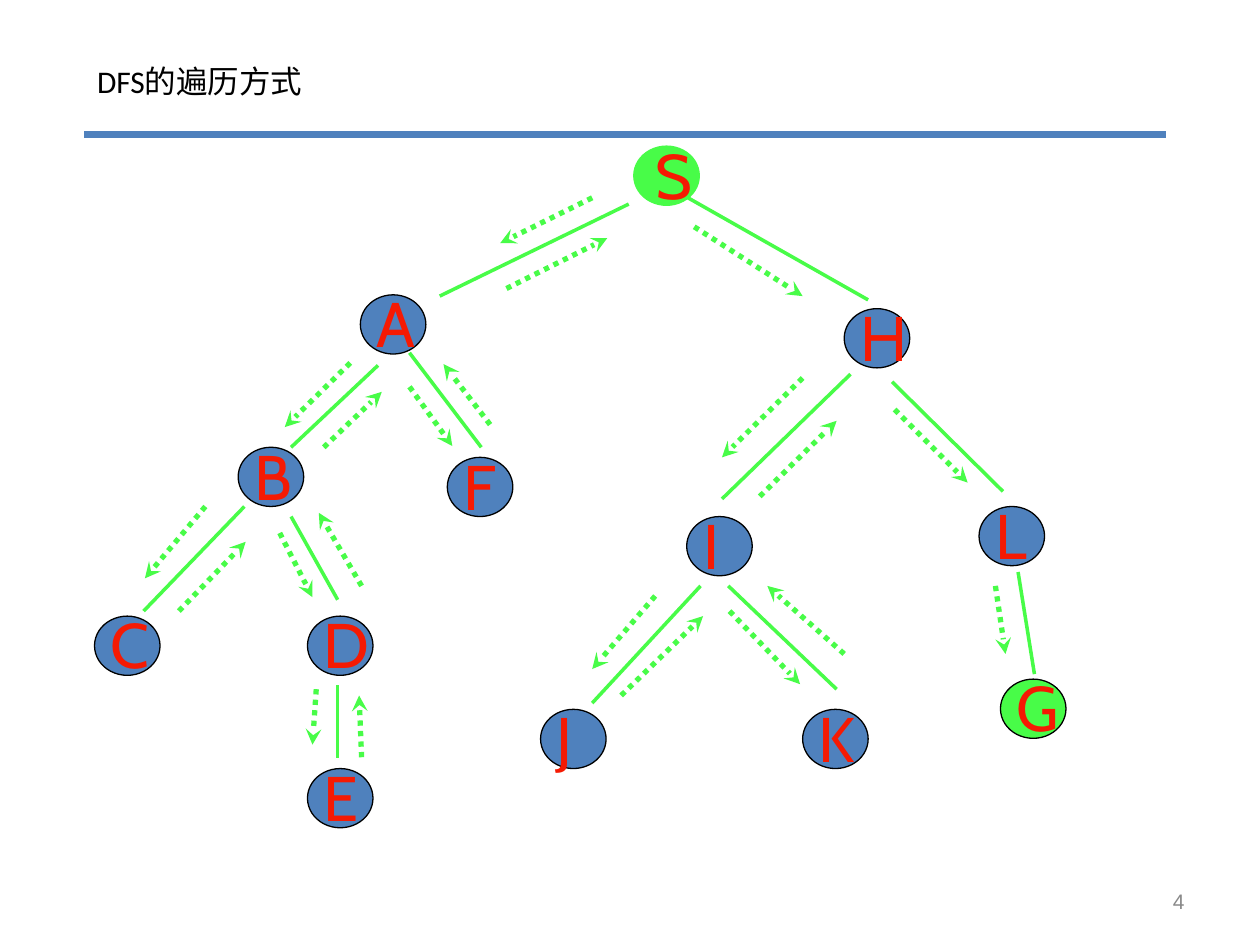
"""Build a slide that shows the depth-first traversal of a tree."""
from typing import NamedTuple, Optional

from lxml import etree
from pptx import Presentation
from pptx.dml.color import RGBColor
from pptx.enum.dml import MSO_LINE_DASH_STYLE as Dash
from pptx.enum.shapes import MSO_CONNECTOR as Connector, MSO_SHAPE as Shape
from pptx.enum.text import MSO_ANCHOR as Anchor, MSO_AUTO_SIZE as AutoSize, PP_ALIGN as Align
from pptx.oxml.ns import qn
from pptx.util import Inches, Pt

BLUE, GREEN, RED, BLACK, GRAY = "4F81BD", "48FC48", "F51A03", "000000", "898989"
NODE_WIDTH, NODE_HEIGHT = 0.52, 0.47
Segment = tuple[float, float, float, float]


class Node(NamedTuple):
    letter: str
    left: float
    top: float
    fill: str = BLUE
    outline: str = BLACK
    indent: float = 0.13


class Branch(NamedTuple):
    edge: Segment
    descent: Segment
    retreat: Optional[Segment] = None


NODES = [
    Node("H", 6.7, 2.45),
    Node("A", 2.86, 2.34),
    Node("L", 7.77, 4.02),
    Node("I", 5.45, 4.1),
    Node("F", 3.55, 3.63),
    Node("B", 1.89, 3.55),
    Node("C", 0.75, 4.89),
    Node("D", 2.44, 4.89),
    Node("E", 2.44, 6.1),
    Node("J", 4.29, 5.63),
    Node("G", 7.94, 5.39, GREEN),
    Node("K", 6.37, 5.63),
    Node("S", 5.03, 1.16, GREEN, GREEN, 0.17),
]

BRANCHES = [
    Branch((4.99, 1.62, 3.49, 2.35), (4.7, 1.57, 3.97, 1.93), (4.02, 2.29, 4.82, 1.89)),
    Branch((3, 2.9, 2.31, 3.55), (2.78, 2.88, 2.26, 3.39), (2.57, 3.55, 3.03, 3.11)),
    Branch((1.94, 4.02, 1.14, 4.85), (1.63, 4.02, 1.15, 4.59), (1.42, 4.85, 1.95, 4.3)),
    Branch((2.31, 4.1, 2.68, 4.76), (2.22, 4.23, 2.48, 4.74), (2.87, 4.65, 2.53, 4.07)),
    Branch((2.68, 5.44, 2.68, 6.02), (2.51, 5.47, 2.48, 5.91), (2.87, 6.01, 2.85, 5.52)),
    Branch((3.25, 2.8, 3.82, 3.55), (3.25, 3.07, 3.59, 3.54), (3.89, 3.37, 3.52, 2.89)),
    Branch((5.46, 1.57, 6.89, 2.38), (5.51, 1.8, 6.37, 2.35)),
    Branch((6.75, 2.97, 5.73, 3.96), (6.37, 3, 5.73, 3.63), (6.03, 3.94, 6.64, 3.34)),
    Branch((5.56, 4.65, 4.7, 5.58), (5.2, 4.73, 4.7, 5.31), (4.93, 5.52, 5.58, 4.89)),
    Branch((5.78, 4.65, 6.64, 5.47), (5.79, 4.85, 6.35, 5.43), (6.7, 5.19, 6.09, 4.65)),
    Branch((7.08, 3.03, 7.96, 3.9), (7.1, 3.25, 7.68, 3.83)),
    Branch((8.08, 4.54, 8.21, 5.35), (7.9, 4.65, 7.98, 5.19)),
]


def rgb(color: str) -> RGBColor:
    return RGBColor.from_string(color)


def write(holder, text: str, size: float, font: str, color: str, align=Align.LEFT) -> None:
    frame = holder.text_frame
    frame.text = text
    frame.word_wrap = True
    paragraph = frame.paragraphs[0]
    paragraph.alignment = align
    run_font = paragraph.runs[0].font
    run_font.size, run_font.name = Pt(size), font
    run_font.color.rgb = rgb(color)


def draw_line(slide, segment: Segment, color: str, width: float):
    connector = slide.shapes.add_connector(Connector.STRAIGHT, *map(Inches, segment))
    connector.line.color.rgb = rgb(color)
    connector.line.width = Pt(width)
    etree.SubElement(connector._element.spPr, qn("a:effectLst"))
    return connector


def draw_step(slide, segment: Segment) -> None:
    step = draw_line(slide, segment, GREEN, 3)
    step.line.dash_style = Dash.ROUND_DOT
    etree.SubElement(step.line._get_or_add_ln(), qn("a:tailEnd"), type="stealth")


def draw_branch(slide, branch: Branch) -> None:
    draw_line(slide, branch.edge, GREEN, 2)
    draw_step(slide, branch.descent)
    if branch.retreat:
        draw_step(slide, branch.retreat)


def draw_node(slide, node: Node) -> None:
    circle = slide.shapes.add_shape(
        Shape.OVAL, Inches(node.left), Inches(node.top), Inches(NODE_WIDTH), Inches(NODE_HEIGHT))
    circle.shadow.inherit = False
    circle.fill.solid()
    circle.fill.fore_color.rgb = rgb(node.fill)
    circle.line.color.rgb = rgb(node.outline)
    circle.line.width = Pt(0.75)
    letter = slide.shapes.add_textbox(
        Inches(node.left + node.indent), Inches(node.top - 0.08), Inches(0.2), Inches(0.6))
    frame = letter.text_frame
    frame.margin_left = frame.margin_right = frame.margin_top = frame.margin_bottom = 0
    frame.vertical_anchor = Anchor.MIDDLE
    write(letter, node.letter, 36, "Cabin", RED)


def main() -> None:
    deck = Presentation()
    deck.slide_width, deck.slide_height = Inches(10), Inches(7.5)
    slide = deck.slides.add_slide(deck.slide_layouts[5])

    title = slide.shapes.title
    title.left, title.top, title.width, title.height = map(Inches, (0.67, 0.44, 8.51, 0.4))
    title.text_frame.vertical_anchor = Anchor.TOP
    title.text_frame.auto_size = AutoSize.NONE
    write(title, "DFS的遍历方式", 18, "Calibri", BLACK)
    draw_line(slide, (0.67, 1.07, 9.25, 1.07), BLUE, 4)

    for node in NODES:
        draw_node(slide, node)
    for branch in BRANCHES:
        draw_branch(slide, branch)

    page_number = slide.shapes.add_textbox(*map(Inches, (7.17, 6.95, 2.33, 0.4)))
    page_number.text_frame.vertical_anchor = Anchor.MIDDLE
    write(page_number, "4", 12, "Arial", GRAY, Align.RIGHT)
    deck.save("out.pptx")


if __name__ == "__main__":
    main()
